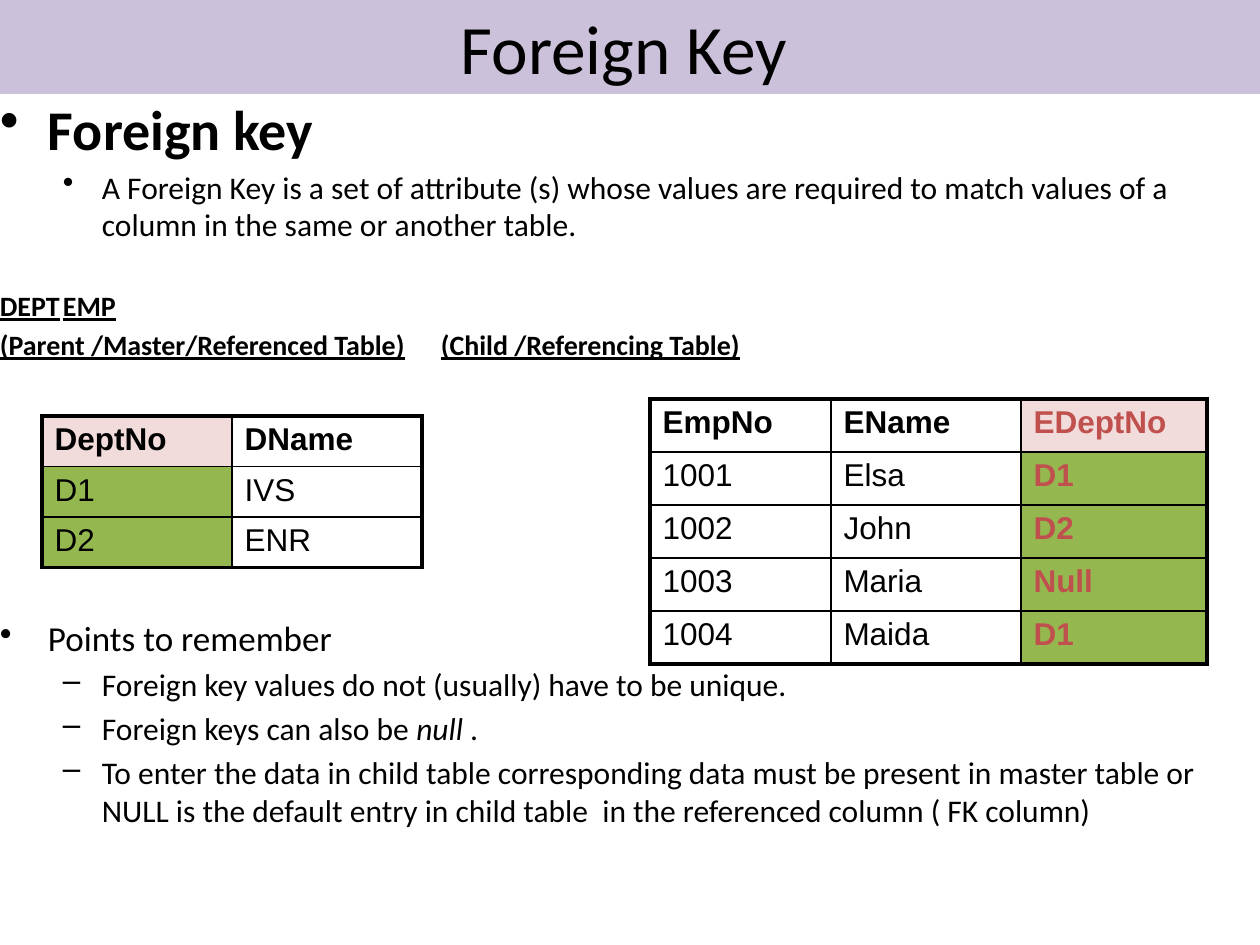
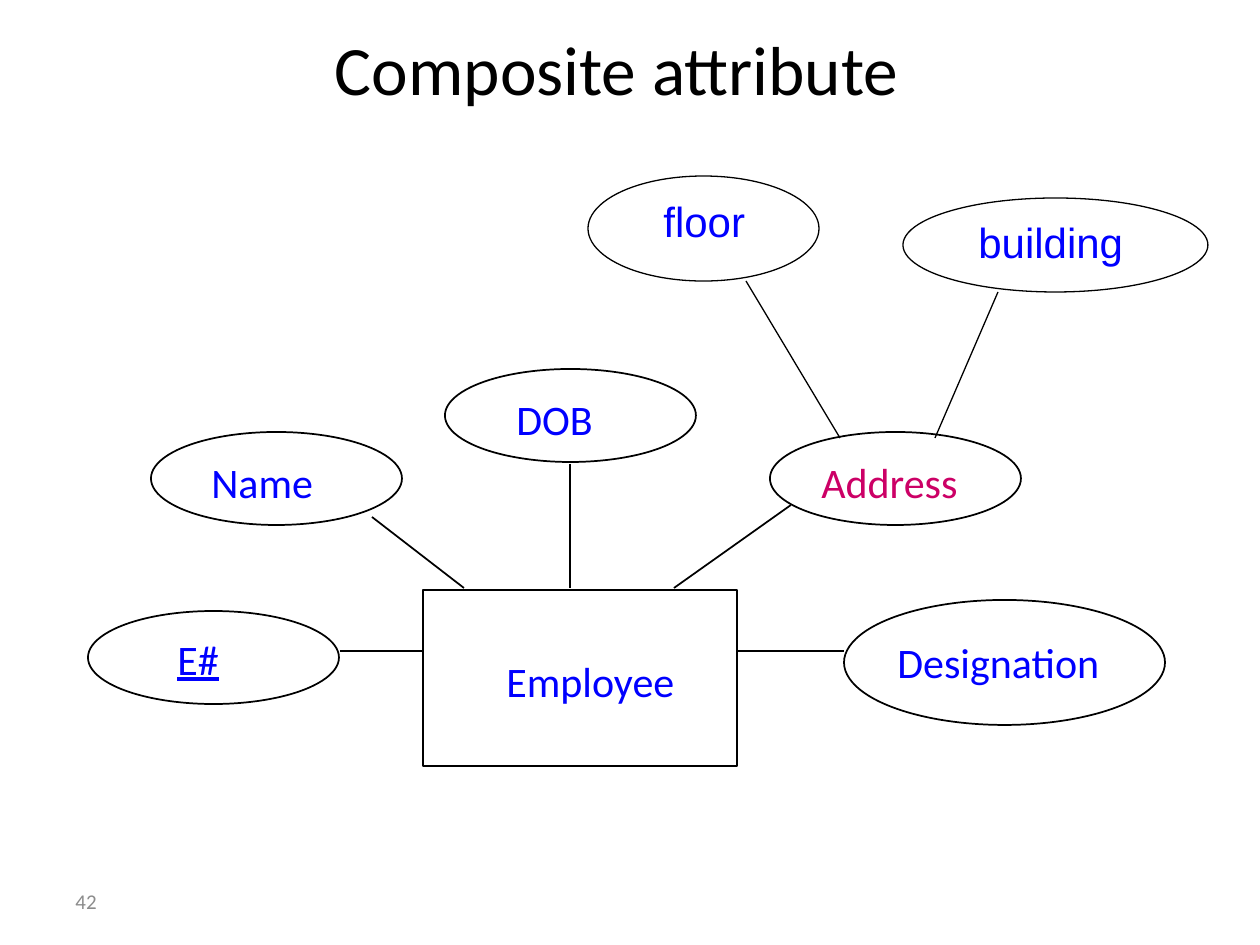
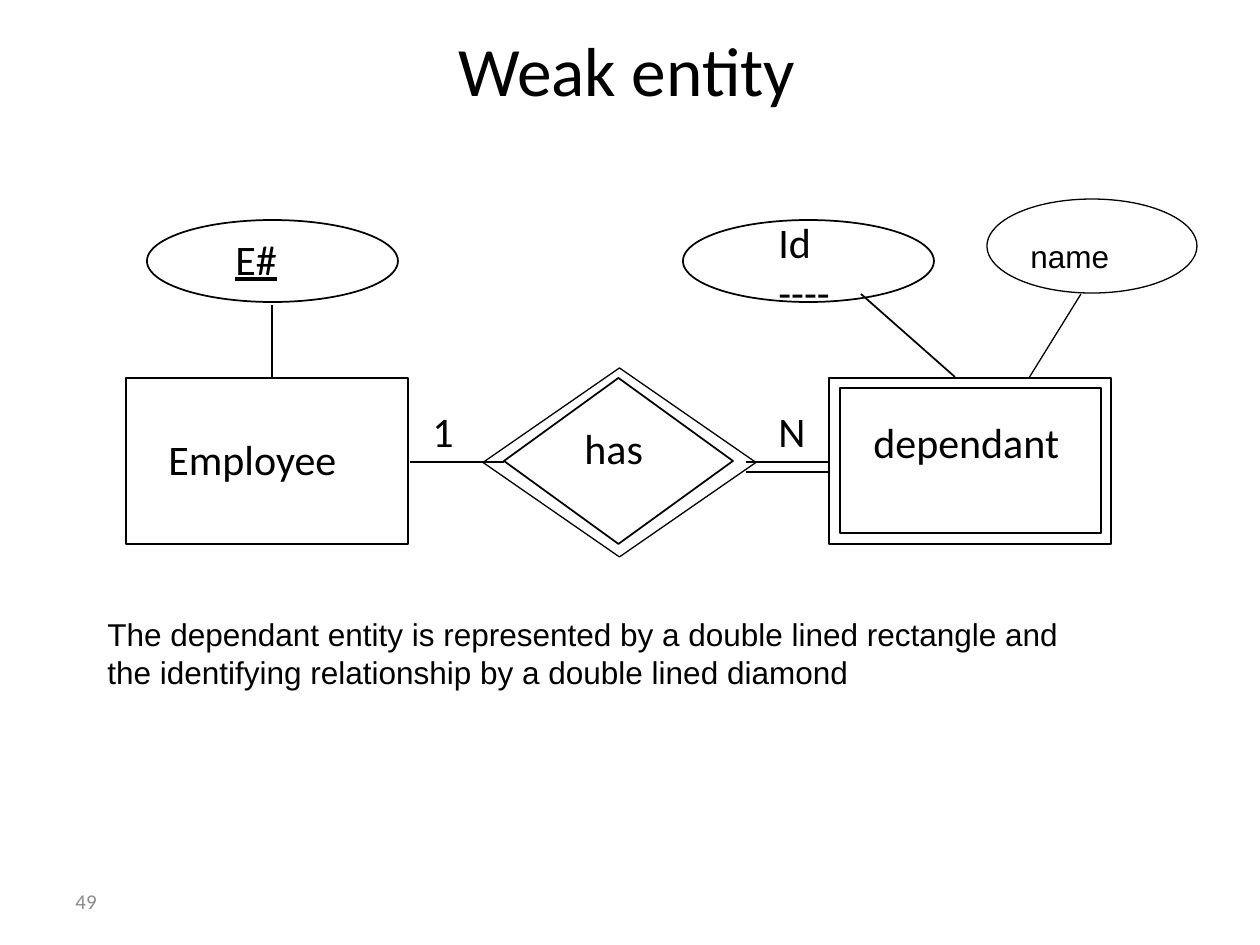
from pptx import Presentation
from pptx.dml.color import RGBColor
from pptx.enum.shapes import MSO_CONNECTOR, MSO_SHAPE
from pptx.enum.text import MSO_ANCHOR, PP_ALIGN
from pptx.oxml.ns import qn
from pptx.util import Pt
from lxml.etree import SubElement

PX = 914400 // 126
BLACK = RGBColor(0, 0, 0)
BLUE = RGBColor(0, 0, 255)
PINK = RGBColor(0xCC, 0, 0x66)
GREY = RGBColor(0x8C, 0x8C, 0x8C)
LILAC = RGBColor(0xCC, 0xC1, 0xDA)
ROSE = RGBColor(0xF2, 0xDC, 0xDB)
GREEN = RGBColor(0x95, 0xB7, 0x4F)
RED = RGBColor(0xC0, 0x50, 0x4D)
THIN, MID, THICK = 0.75, 1, 2.25
OVAL, RECT, GEM = MSO_SHAPE.OVAL, MSO_SHAPE.RECTANGLE, MSO_SHAPE.DIAMOND


def write(slide, box, words, size=24, color=BLACK, face="Calibri", under=False):
    """Add a wrapped text box in one style and return it."""
    label = slide.shapes.add_textbox(*[n * PX for n in box])
    frame = label.text_frame
    frame.word_wrap = True
    frame.text = words
    for para in frame.paragraphs:
        for run in para.runs:
            run.font.size = Pt(size)
            run.font.name = face
            run.font.color.rgb = color
            run.font.underline = under
    return label


def head(slide, box, words):
    """Add a slide title, centred both ways, and return it."""
    title = write(slide, box, words, 39.6)
    title.text_frame.margin_left = 0
    title.text_frame.vertical_anchor = MSO_ANCHOR.MIDDLE
    title.text_frame.paragraphs[0].alignment = PP_ALIGN.CENTER
    return title


deck = Presentation()
deck.slide_width, deck.slide_height = 1260 * PX, 945 * PX
blank = deck.slide_layouts[6]

# Slide 1: foreign key
slide = deck.slides.add_slide(blank)
band = head(slide, (0, 0, 1260, 94), "Foreign Key")
band.fill.solid()
band.fill.fore_color.rgb = LILAC

# Runs with style letters, size, space before, bullet, indent, hang, tab stop
lines = [
    ([("Foreign key", "b")], 32, 0, "•", 48, 48, 0),
    ([("A Foreign Key is a set of attribute (s) whose values are required to "
       "match values of a column in the same or another table.", "")],
     18, 3.6, "•", 102, 39, 0),
    ([("DEPT", "bu"), ("\t", ""), ("EMP", "bu")], 16, 26, "", 0, 0, 677),
    ([("(Parent /Master/Referenced Table)", "bu"), ("\t", ""),
      ("(Child /Referencing Table)", "bu")], 16, 3.2, "", 0, 0, 551),
    ([("Points to remember", "")], 20, 146, "•", 48, 48, 0),
    ([("Foreign key values do not (usually) have to be unique.", "")],
     18, 3.6, "–", 102, 39, 0),
    ([("Foreign keys can also be ", ""), ("null", "i"), (" .", "")],
     18, 3.6, "–", 102, 39, 0),
    ([("To enter the data in child table corresponding data must be present in "
       "master table or NULL is the default entry in child table  in the "
       "referenced column ( FK column)", "")], 18, 3.6, "–", 102, 39, 0),
]
body = write(slide, (0, 94, 1260, 829), "").text_frame
body.margin_left = body.margin_top = 0
for n, (parts, size, gap, mark, left, hang, stop) in enumerate(lines):
    para = body.add_paragraph() if n else body.paragraphs[0]
    para.space_before = Pt(gap)
    props = para._p.get_or_add_pPr()
    props.set("marL", str(left * PX))
    props.set("indent", str(-hang * PX))
    if mark:
        SubElement(props, qn("a:buChar"), char=mark)
    else:
        SubElement(props, qn("a:buNone"))
        tabs = SubElement(props, qn("a:tabLst"))
        SubElement(tabs, qn("a:tab"), pos=str(stop * PX), algn="l")
    for words, style in parts:
        run = para.add_run()
        run.text = words
        font = run.font
        font.name, font.size = "Calibri", Pt(size)
        font.color.rgb = BLACK
        font.bold, font.italic = "b" in style, "i" in style
        font.underline = "u" in style

# Place, column widths, row height, key column, key colour, rows
tables = [
    (42, 416, (190, 190), 50, 0, BLACK,
     [("DeptNo", "DName"), ("D1", "IVS"), ("D2", "ENR")]),
    (650, 399, (181, 190, 186), 53, 2, RED,
     [("EmpNo", "EName", "EDeptNo"), ("1001", "Elsa", "D1"),
      ("1002", "John", "D2"), ("1003", "Maria", "Null"),
      ("1004", "Maida", "D1")]),
]
for left, top, widths, high, key, tint, rows in tables:
    grid = slide.shapes.add_table(
        len(rows), len(widths), left * PX, top * PX,
        sum(widths) * PX, len(rows) * high * PX).table
    grid.horz_banding = False
    for col, wide in zip(grid.columns, widths):
        col.width = wide * PX
    for r, row in enumerate(rows):
        grid.rows[r].height = high * PX
        for c, words in enumerate(row):
            cell = grid.cell(r, c)
            cell.text = words
            font = cell.text_frame.paragraphs[0].runs[0].font
            font.name, font.size = "Arial", Pt(18)
            font.bold = r == 0 or (c == key and tint == RED)
            font.color.rgb = tint if c == key else BLACK
            edges = {"L": c == 0, "R": c == len(row) - 1,
                     "T": r == 0, "B": r == len(rows) - 1}
            for side, outer in edges.items():
                edge = SubElement(cell._tc.get_or_add_tcPr(), qn("a:ln" + side),
                                  w=str(Pt(THICK if outer else MID)))
                paint = SubElement(edge, qn("a:solidFill"))
                SubElement(paint, qn("a:srgbClr"), val=str(BLACK))
            if c == key:
                cell.fill.solid()
                cell.fill.fore_color.rgb = ROSE if r == 0 else GREEN
            else:
                cell.fill.background()

# Slides 2 and 3: entity diagrams
charts = [
    {
        "title": ("Composite attribute", 32, 32),
        "page": "42",
        "shapes": [
            (RECT, 423, 590, 314, 176, MID),
            (OVAL, 151, 432, 251, 93, MID),
            (OVAL, 88, 611, 251, 93, MID),
            (OVAL, 844, 600, 321, 125, MID),
            (OVAL, 445, 369, 251, 93, MID),
            (OVAL, 770, 432, 251, 93, MID),
            (OVAL, 588, 176, 231, 105, THIN),
            (OVAL, 903, 198, 305, 94, THIN),
        ],
        "links": [
            (340, 651, 422, 651, MID),
            (372, 517, 464, 588, MID),
            (570, 464, 570, 588, MID),
            (791, 505, 674, 588, MID),
            (844, 651, 737, 651, MID),
            (746, 281, 840, 438, THIN),
            (998, 292, 935, 438, THIN),
        ],
        "labels": [
            ((494, 649, 212, 63), "Employee", 24, BLUE),
            ((165, 627, 77, 63), "E#", 24, BLUE, "Calibri", True),
            ((199, 450, 137, 63), "Name", 24, BLUE),
            ((504, 387, 116, 63), "DOB", 24, BLUE),
            ((809, 450, 179, 63), "Address", 24, PINK),
            ((885, 630, 270, 63), "Designation", 24, BLUE),
            ((651, 189, 147, 63), "floor", 24, BLUE, "Arial"),
            ((966, 210, 199, 63), "building", 24, BLUE, "Arial"),
        ],
    },
    {
        "title": ("Weak entity", 42, 33),
        "page": "49",
        "shapes": [
            (GEM, 483, 368, 273, 189, THIN),
            (RECT, 126, 378, 282, 166, MID),
            (RECT, 829, 378, 282, 166, MID),
            (GEM, 504, 378, 229, 166, MID),
            (OVAL, 147, 220, 251, 82, MID),
            (OVAL, 683, 220, 251, 82, MID),
            (RECT, 840, 388, 261, 145, MID),
            (OVAL, 987, 199, 210, 94, THIN),
        ],
        "links": [
            (410, 462, 504, 462, MID),
            (746, 462, 829, 462, MID),
            (746, 472, 829, 472, THIN),
            (272, 305, 272, 377, MID),
            (861, 294, 955, 377, MID),
            (1081, 294, 1029, 378, THIN),
        ],
        "labels": [
            ((156, 427, 212, 63), "Employee"),
            ((223, 227, 77, 63), "E#", 24, BLACK, "Calibri", True),
            ((572, 416, 93, 63), "has"),
            ((861, 410, 224, 63), "dependant"),
            ((766, 210, 95, 115), "Id\n----"),
            ((420, 399, 48, 63), "1"),
            ((766, 399, 55, 63), "N"),
            ((1018, 231, 126, 50), "name", 18, BLACK, "Arial"),
            ((95, 609, 1018, 88),
             "The dependant entity is represented by a double lined rectangle "
             "and the identifying relationship by a double lined diamond",
             18, BLACK, "Arial"),
        ],
    },
]
for chart in charts:
    slide = deck.slides.add_slide(blank)
    page = write(slide, (63, 876, 294, 50), chart["page"], 12, GREY)
    page.text_frame.vertical_anchor = MSO_ANCHOR.MIDDLE
    words, left, top = chart["title"]
    head(slide, (left, top, 1182, 71), words)
    for kind, left, top, wide, high, weight in chart["shapes"]:
        shape = slide.shapes.add_shape(
            kind, left * PX, top * PX, wide * PX, high * PX)
        shape.shadow.inherit = False
        shape.fill.background()
        shape.line.color.rgb = BLACK
        shape.line.width = Pt(weight)
    for *ends, weight in chart["links"]:
        link = slide.shapes.add_connector(
            MSO_CONNECTOR.STRAIGHT, *[n * PX for n in ends])
        link.line.color.rgb = BLACK
        link.line.width = Pt(weight)
        SubElement(link._element.spPr, qn("a:effectLst"))
    for label in chart["labels"]:
        write(slide, *label)

deck.save("out.pptx")
